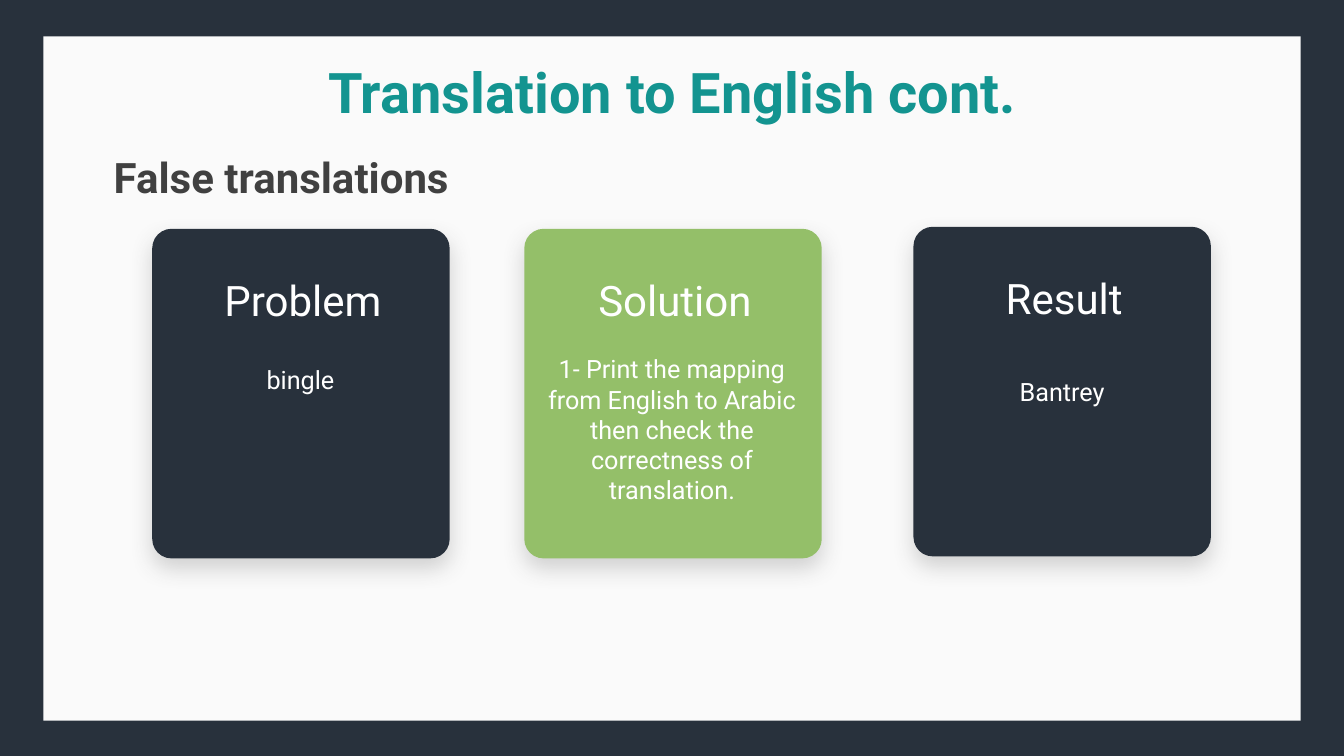
from lxml import etree
from pptx import Presentation
from pptx.dml.color import RGBColor
from pptx.enum.shapes import MSO_SHAPE as Shape
from pptx.enum.text import MSO_ANCHOR as Anchor, PP_ALIGN as Align
from pptx.oxml.ns import qn
from pptx.util import Inches, Pt

COLORS = {
    "navy": "28313C",
    "paper": "FAFAFA",
    "teal": "139490",
    "green": "94BF69",
    "gray": "404040",
    "white": "FFFFFF",
}
FONT = "Roboto"
CARD_WIDTH, CARD_HEIGHT = 2.95, 3.27
HEADING_BOX = (0.08, 0.4, 2.83, 0.61)
CARDS = [
    (1.51, 2.27, "navy", "Problem", "bingle", (0.21, 1.3, 2.52, 0.4)),
    (5.2, 2.27, "green", "Solution",
     "1- Print the mapping from English to Arabic then check the "
     "correctness of translation.", (0.05, 1.19, 2.83, 1.62)),
    (9.06, 2.25, "navy", "Result", "Bantrey", None),
]


def rgb(name):
    """Return the named colour."""
    return RGBColor.from_string(COLORS[name])


def write(shape, text, size, color, bold=False, align=Align.CENTER, anchor=Anchor.TOP):
    """Write one formatted run into a shape."""
    frame = shape.text_frame
    frame.word_wrap = True
    frame.vertical_anchor = anchor
    para = frame.paragraphs[0]
    para.alignment = align
    span = para.add_run()
    span.text = text
    span.font.name = FONT
    span.font.size = Pt(size)
    span.font.bold = bold
    span.font.color.rgb = rgb(color)


def add_block(shapes, kind, box, color):
    """Add a filled shape without outline or shadow."""
    block = shapes.add_shape(kind, *map(Inches, box))
    block.shadow.inherit = False
    block.fill.solid()
    block.fill.fore_color.rgb = rgb(color)
    block.line.fill.background()
    return block


def add_soft_shadow(block):
    """Give a block a soft shadow that falls straight down."""
    effects = block.element.spPr.find(qn("a:effectLst"))
    shadow = etree.SubElement(
        effects, qn("a:outerShdw"), blurRad=str(Pt(16)), dist=str(Pt(7)),
        dir=str(90 * 60000), algn="t", rotWithShape="0")
    tint = etree.SubElement(shadow, qn("a:srgbClr"), val=COLORS["gray"])
    etree.SubElement(tint, qn("a:alpha"), val="21000")


def add_card(page, left, top, color, heading, body, body_box):
    """Add a rounded card with its heading and body text."""
    shapes = page.shapes.add_group_shape().shapes
    card = add_block(shapes, Shape.ROUNDED_RECTANGLE,
                     (left, top, CARD_WIDTH, CARD_HEIGHT), color)
    card.adjustments[0] = 0.065
    add_soft_shadow(card)

    def add_label(box, text, size):
        """Add a text block at an offset inside the card."""
        x, y, width, height = box
        label = add_block(shapes, Shape.RECTANGLE,
                          (left + x, top + y, width, height), color)
        write(label, text, size, "white")

    add_label(HEADING_BOX, heading, 30)
    if body_box:
        add_label(body_box, body, 18)
    else:
        write(card, body, 18, "white", anchor=Anchor.MIDDLE)


def add_header(page, left, top, width):
    """Place the slide title and the subtitle under it."""
    title = page.shapes.title
    title.left, title.top = Inches(left + 1.26), Inches(top)
    title.width, title.height = Inches(width), Inches(1.45)
    write(title, "Translation to English cont.", 40, "teal", bold=True)
    subtitle = page.shapes.add_textbox(
        Inches(left), Inches(top + 0.93), Inches(4.9), Inches(0.61))
    write(subtitle, "False translations", 30, "gray", bold=True, align=Align.LEFT)


def add_backdrop(page, box):
    """Colour the slide and lay a light panel behind the title."""
    page.background.fill.solid()
    page.background.fill.fore_color.rgb = rgb("navy")
    panel = add_block(page.shapes, Shape.RECTANGLE, box, "paper")
    page.shapes.title.element.addprevious(panel.element)


def main():
    """Build and save the slide."""
    deck = Presentation()
    deck.slide_width, deck.slide_height = Inches(13.33), Inches(7.5)
    page = deck.slides.add_slide(deck.slide_layouts[5])
    add_backdrop(page, (0.43, 0.36, 12.47, 6.79))
    add_header(page, 1.03, 0.52, 8.75)
    for card in CARDS:
        add_card(page, *card)
    deck.save("out.pptx")


if __name__ == "__main__":
    main()
